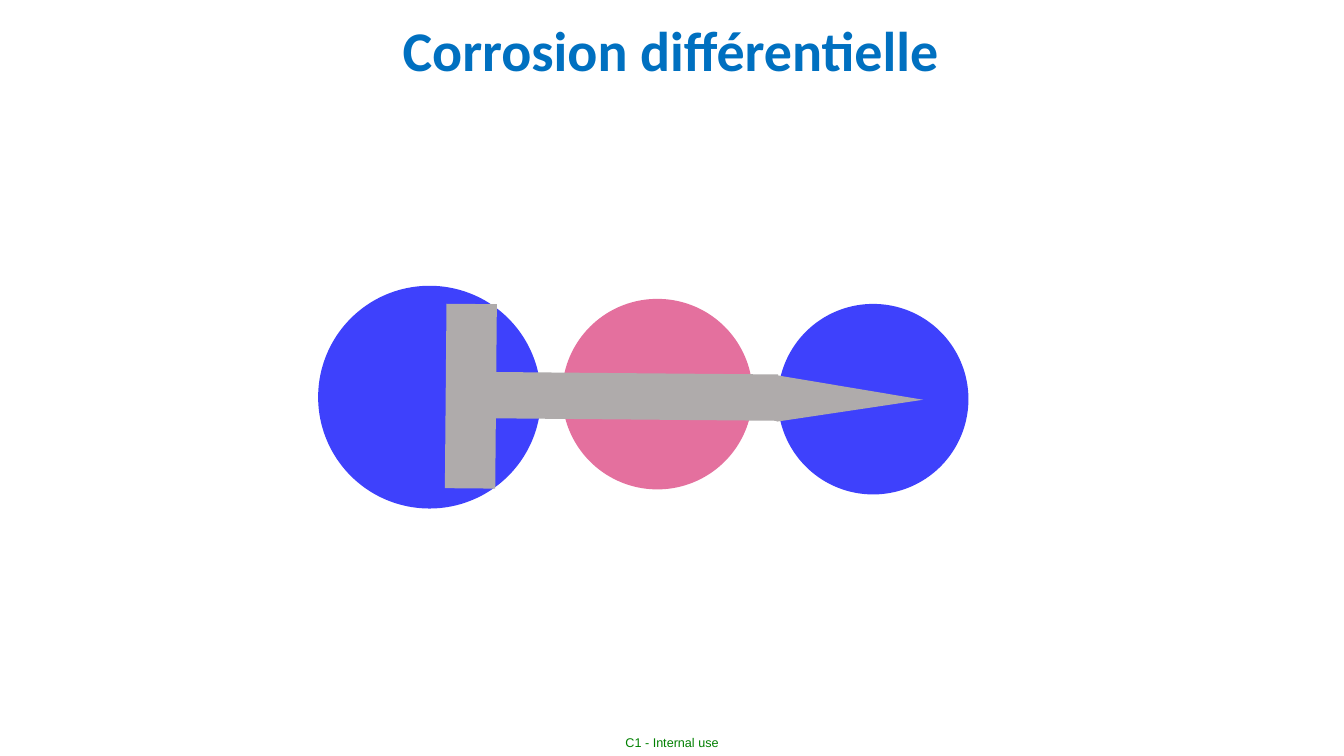
from pptx import Presentation
from pptx.dml.color import RGBColor
from pptx.enum.shapes import MSO_SHAPE as Shape
from pptx.enum.text import MSO_ANCHOR as Anchor, PP_ALIGN as Align
from pptx.util import Inches, Pt

BLUE, PINK, STEEL = "3E41FC", "E4709E", "AFABAB"
TILT = 0.5


def color(value):
    """Turn a hex string into a colour."""
    return RGBColor.from_string(value)


def add_text(slide, box, text, size, font, ink, bold=False, anchor=Anchor.TOP, margin=None):
    """Write one centred line of text in a box."""
    frame = slide.shapes.add_textbox(*map(Inches, box)).text_frame
    frame.word_wrap = True
    frame.vertical_anchor = anchor
    if margin is not None:
        frame.margin_left = frame.margin_right = Inches(margin)
        frame.margin_top = frame.margin_bottom = Inches(margin)
    line = frame.paragraphs[0]
    line.alignment = Align.CENTER
    run = line.add_run()
    run.text = text
    run.font.size, run.font.name, run.font.bold = Pt(size), font, bold
    run.font.color.rgb = color(ink)


def add_solid(shapes, kind, center, size, fill, rotation=0):
    """Draw a plain filled shape around a centre."""
    (x, y), (width, height) = center, size
    solid = shapes.add_shape(kind, Inches(x - width / 2), Inches(y - height / 2),
                             Inches(width), Inches(height))
    solid.fill.solid()
    solid.fill.fore_color.rgb = color(fill)
    solid.line.fill.background()
    solid.shadow.inherit = False
    solid.rotation = rotation


def add_zones(slide, left, top):
    """Draw the corrosion zones behind the nail."""
    for x, y, diameter, fill in ((3.37, 1.08, 1.89, PINK),
                                 (5.51, 1.13, 1.89, BLUE),
                                 (1.11, 1.11, 2.21, BLUE)):
        add_solid(slide.shapes, Shape.OVAL, (left + x, top + y), (diameter, diameter), fill)


def add_nail(slide, left, middle):
    """Draw the head, shank and tip of the slightly tilted nail."""
    nail = slide.shapes.add_group_shape().shapes
    for kind, x, drop, size, turn in (
            (Shape.RECTANGLE, 0.25, 0, (1.83, 0.5), 270),
            (Shape.RECTANGLE, 1.65, 0, (3.29, 0.46), 180),
            (Shape.ISOSCELES_TRIANGLE, 4.01, 0.03, (0.46, 1.45), 90)):
        add_solid(nail, kind, (left + x, middle + drop), size, STEEL, turn + TILT)


def main():
    """Build the slide and save it."""
    deck = Presentation()
    deck.slide_width, deck.slide_height = Inches(13.33), Inches(7.5)
    slide = deck.slides.add_slide(deck.slide_layouts[6])
    add_text(slide, (6.04, 7.24, 1.25, 0.26), "C1 - Internal use", 9, "Arial", "008000",
             anchor=Anchor.MIDDLE, margin=0)
    add_zones(slide, 3.15, 2.83)
    add_text(slide, (0.41, 0.11, 12.48, 0.77), "Corrosion différentielle", 40, "Calibri",
             "0070C0", bold=True)
    add_nail(slide, 4.42, 3.93)
    deck.save("out.pptx")


if __name__ == "__main__":
    main()
